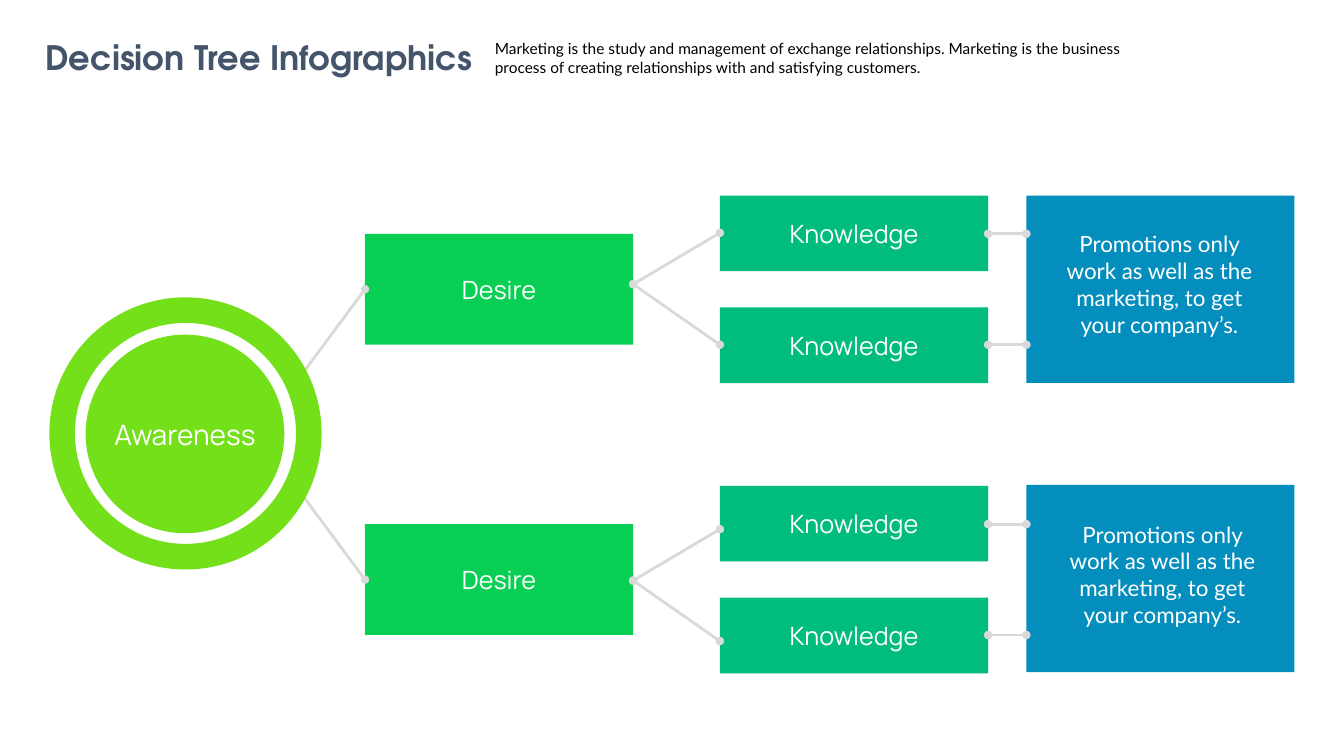
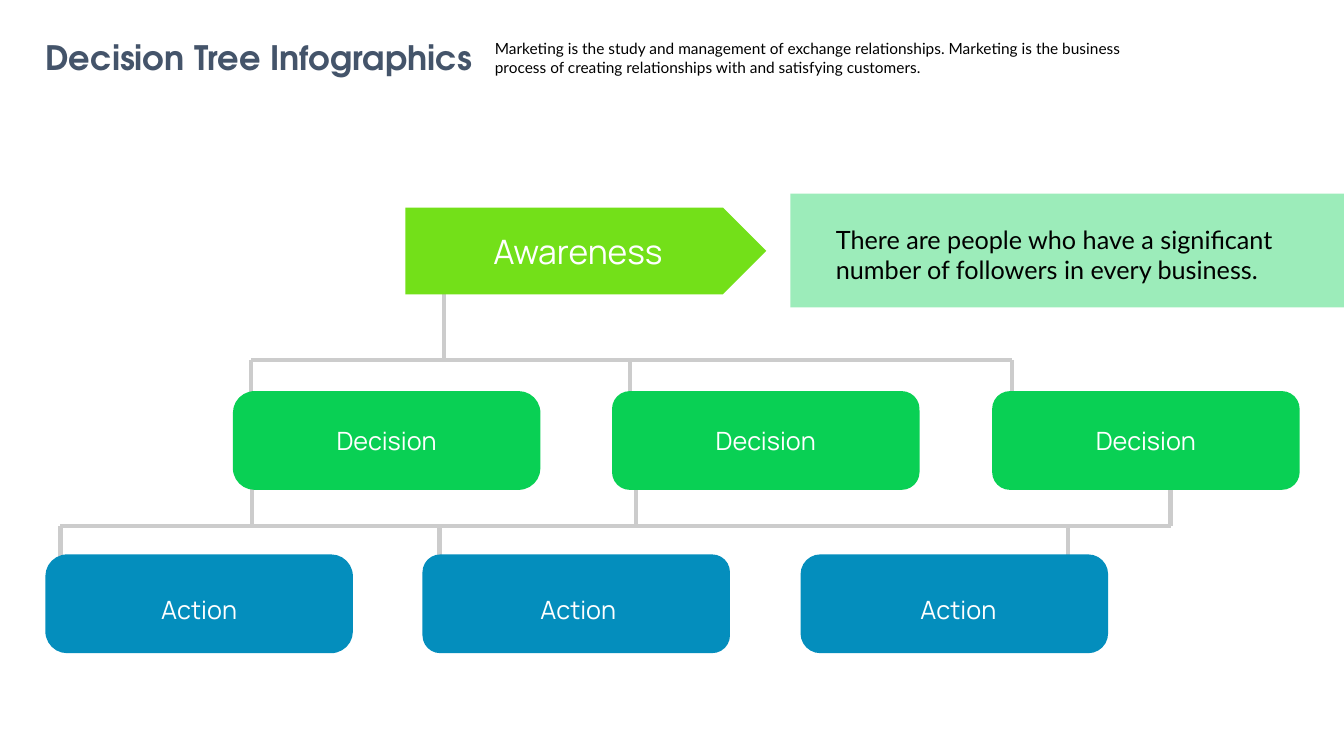
from dataclasses import dataclass

from lxml.etree import SubElement
from pptx import Presentation
from pptx.dml.color import RGBColor
from pptx.enum.shapes import MSO_CONNECTOR, MSO_SHAPE
from pptx.enum.text import MSO_ANCHOR, PP_ALIGN
from pptx.oxml.ns import qn
from pptx.util import Emu, Pt


@dataclass(frozen=True)
class Theme:
    navy: str = "44546A"
    black: str = "000000"
    white: str = "FFFFFF"
    lime: str = "73E019"
    green: str = "09D054"
    teal: str = "00BD7D"
    blue: str = "048EBD"
    link: str = "D9D9D9"
    branch: str = "CCCCCC"
    title_font: str = "TeX Gyre Adventor"
    label_font: str = "Manrope"
    body_font: str = "Lato"
    title_size: int = 24
    intro_size: int = 11
    note_size: int = 16
    label_size: int = 18
    root_size: int = 20
    link_width: int = 2
    branch_width: int = 3


THEME = Theme()
EMU_PER_PX = 9144
TITLE = "Decision Tree Infographics"
INTRO = ("Marketing is the study and management of exchange relationships. "
         "Marketing is the business process of creating relationships with "
         "and satisfying customers.")
PROMOTION = "Promotions only work as well as the marketing, to get your company’s."
FOLLOWERS = ("There are people who have a significant number of followers "
             "in every business.")


def px(*lengths):
    return [Emu(length * EMU_PER_PX) for length in lengths]


def write(frame, text, size, color, font, align, bold=False):
    frame.text = text
    paragraph = frame.paragraphs[0]
    paragraph.alignment = align
    for run in paragraph.runs:
        run.font.size = Pt(size)
        run.font.name = font
        run.font.bold = bold
        run.font.color.rgb = RGBColor.from_string(color)


def add_text(slide, box, text, size, color, font, align, bold=False, wrap=True):
    frame = slide.shapes.add_textbox(*px(*box)).text_frame
    frame.word_wrap = wrap
    write(frame, text, size, color, font, align, bold)


def add_block(slide, preset, box, color, adjust=None, alpha=None):
    block = slide.shapes.add_shape(preset, *px(*box))
    block.shadow.inherit = False
    block.line.fill.background()
    block.fill.solid()
    block.fill.fore_color.rgb = RGBColor.from_string(color)
    if adjust is not None:
        block.adjustments[0] = adjust
    if alpha is not None:
        tint = block.fill._xPr.find(qn("a:solidFill"))[0]
        SubElement(tint, qn("a:alpha"), val=str(alpha * 1000))
    return block


def add_label(block, text, size=THEME.label_size, color=THEME.white,
              font=THEME.label_font, align=PP_ALIGN.CENTER,
              inset=10, nudge=(0, 0), wrap=True):
    dx, dy = nudge
    frame = block.text_frame
    frame.margin_left, frame.margin_right = px(inset + dx, inset - dx)
    frame.margin_top, frame.margin_bottom = px(10 + dy, 10 - dy)
    frame.vertical_anchor = MSO_ANCHOR.MIDDLE
    frame.word_wrap = wrap
    write(frame, text, size, color, font, align)


def add_line(slide, start, end, color, width, dots=False):
    line = slide.shapes.add_connector(MSO_CONNECTOR.STRAIGHT, *px(*start, *end))
    line.line.color.rgb = RGBColor.from_string(color)
    line.line.width = Pt(width)
    if dots:
        outline = line.line._get_or_add_ln()
        for tip in ("a:headEnd", "a:tailEnd"):
            SubElement(outline, qn(tip), type="oval")
    SubElement(line._element.spPr, qn("a:effectLst"))


def add_link(slide, start, end):
    add_line(slide, start, end, THEME.link, THEME.link_width, dots=True)


def add_branch(slide, start, end):
    add_line(slide, start, end, THEME.branch, THEME.branch_width)


def add_header(slide):
    add_text(slide, (32, 32, 449, 50), TITLE, THEME.title_size, THEME.navy,
             THEME.title_font, PP_ALIGN.CENTER, bold=True, wrap=False)
    add_text(slide, (481, 34, 660, 47), INTRO, THEME.intro_size, THEME.black,
             THEME.body_font, PP_ALIGN.LEFT)


def add_path(slide, top, fork, note_top, note_nudge):
    width = 266
    desire_left, knowledge_left, note_left = 362, 714, 1018
    desire = add_block(slide, MSO_SHAPE.RECTANGLE,
                       (desire_left, top + 38, width, 110), THEME.green)
    add_label(desire, "Desire")
    for row in range(2):
        knowledge = add_block(slide, MSO_SHAPE.RECTANGLE,
                              (knowledge_left, top + row * 111, width, 75),
                              THEME.teal)
        add_label(knowledge, "Knowledge")
    note = add_block(slide, MSO_SHAPE.RECTANGLE,
                     (note_left, note_top, width, 186), THEME.blue)
    add_label(note, PROMOTION, THEME.note_size, font=THEME.body_font,
              inset=39, nudge=note_nudge)
    for rise in (-51, 60):
        add_link(slide, (desire_left + width, fork),
                 (knowledge_left, fork + rise))
    for drop in (38, 148):
        add_link(slide, (knowledge_left + width, top + drop),
                 (note_left, top + drop))


def build_paths(slide):
    add_header(slide)
    core = add_block(slide, MSO_SHAPE.OVAL, (85, 332, 197, 197), THEME.lime)
    add_label(core, "Awareness", THEME.root_size, wrap=False)
    add_path(slide, top=194, fork=282, note_top=194, note_nudge=(-1, -5))
    add_path(slide, top=482, fork=576, note_top=481, note_nudge=(2, -4))
    center = 431
    for side in (-1, 1):
        add_link(slide, (296, center + side * 55), (362, center + side * 144))
    add_block(slide, MSO_SHAPE.DONUT, (49, 295, 270, 270), THEME.lime, 0.094)


def add_cards(slide, text, left, half_step, top, color, corners, nudge=(0, 0)):
    dx, dy = nudge
    for index, corner in enumerate(corners):
        card = add_block(slide, MSO_SHAPE.ROUNDED_RECTANGLE,
                         (left + index * half_step // 2, top, 305, 98),
                         color, corner)
        add_label(card, text, nudge=(index * dx, dy))


def build_levels(slide):
    decision_bar, action_bar = 357, 522
    add_header(slide)
    add_branch(slide, (440, 274), (440, decision_bar))
    add_branch(slide, (249, decision_bar), (1004, decision_bar))
    add_branch(slide, (60, action_bar), (1161, action_bar))
    for x in (249, 625, 1004):
        add_branch(slide, (x, decision_bar), (x, 400))
    for x in (250, 631, 1161):
        add_branch(slide, (x, 469), (x, action_bar))
    for x in (60, 436, 1059):
        add_branch(slide, (x, action_bar), (x, 579))

    banner = add_block(slide, MSO_SHAPE.RECTANGLE, (784, 192, 549, 113),
                       THEME.green, alpha=40)
    add_label(banner, FOLLOWERS, color=THEME.black, font=THEME.body_font,
              align=PP_ALIGN.LEFT, inset=45, nudge=(0, 4))
    root = add_block(slide, MSO_SHAPE.PENTAGON, (402, 206, 358, 86), THEME.lime)
    add_label(root, "Awareness", THEME.title_size, nudge=(3, 0))
    add_cards(slide, "Decision", 231, 753, 388, THEME.green,
              (0.22, 0.18, 0.18))
    add_cards(slide, "Action", 45, 749, 550, THEME.blue,
              (0.22, 0.18, 0.2), nudge=(2, 6))


def main():
    deck = Presentation()
    deck.slide_width, deck.slide_height = px(1333, 750)
    for build in (build_paths, build_levels):
        build(deck.slides.add_slide(deck.slide_layouts[6]))
    deck.save("out.pptx")


if __name__ == "__main__":
    main()
